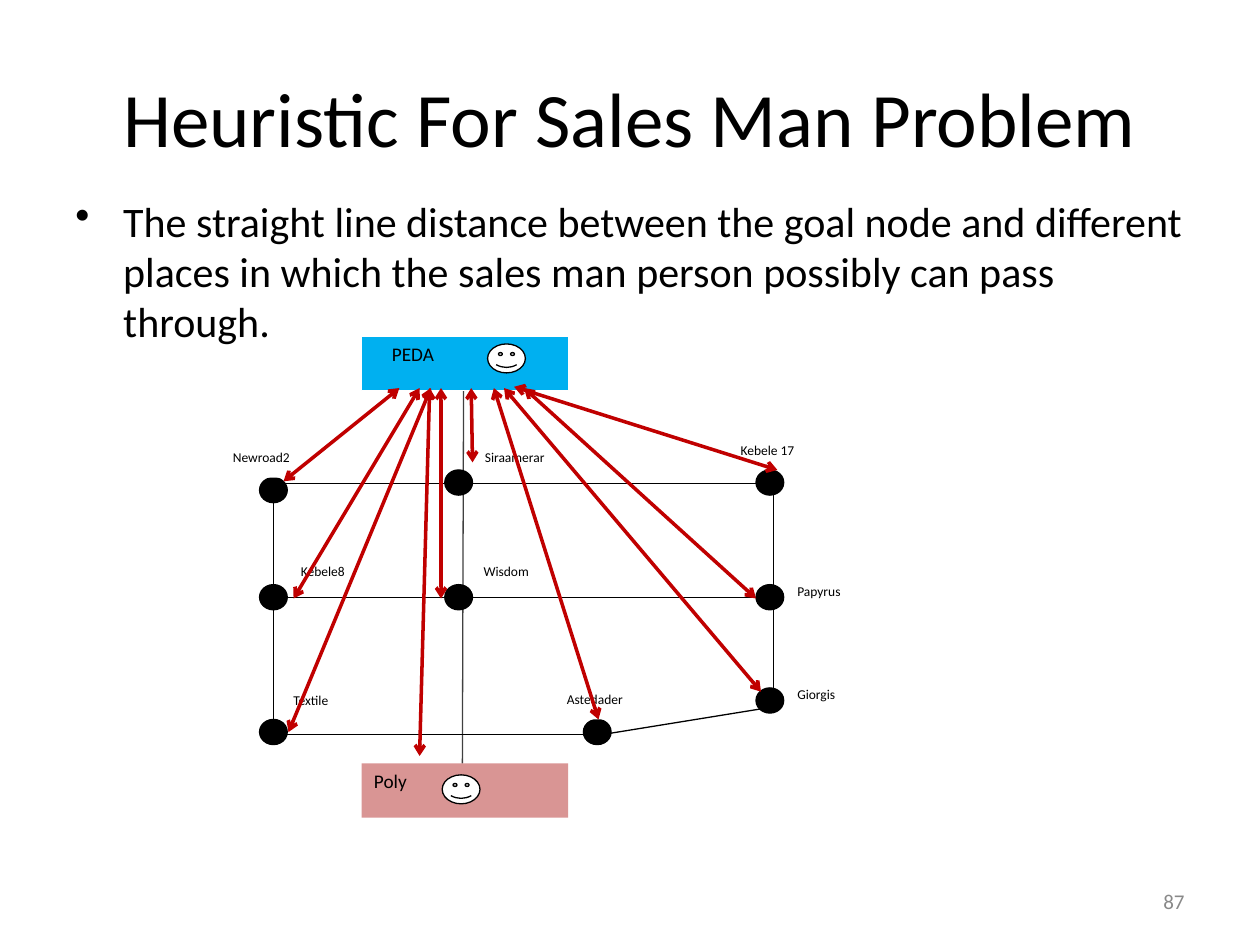
from dataclasses import dataclass

from lxml import etree
from pptx import Presentation, util as u
from pptx.dml.color import RGBColor
from pptx.enum import shapes, text
from pptx.oxml import ns

COLOURS = {
    "ink": "000000",
    "paper": "FFFFFF",
    "goal": "00B0F0",
    "start": "D99594",
    "street": "404040",
    "distance": "C00000",
    "number": "898989",
}
FONT = "Calibri"
COLUMNS, ROWS = 100, 75
WEST, EAST = 21.7, 61.4
NORTH, CENTRE, SOUTH = 38.4, 47.4, 58.3
NODE = (2.2, 2.0)
FACE = (3.0, 2.3)
HOUSE = (16.4, 4.3)
LABEL_HEIGHT = 2.5

deck = Presentation()
deck.slide_width, deck.slide_height = u.Inches(10), u.Inches(7.5)
page = deck.slides.add_slide(deck.slide_layouts[6])


@dataclass
class Area:
    column: float
    row: float
    width: float
    height: float


@dataclass
class Stop:
    name: str
    column: float
    row: float
    label_column: float
    label_row: float
    label_width: float = 7.7


@dataclass
class House:
    name: str
    area: Area
    colour: str
    inset: float
    face_column: float
    face_row: float
    border: str | None = None


@dataclass
class Link:
    column: float
    row: float
    end_column: float
    end_row: float


STOPS = [
    Stop("Newroad2", 21.7, 38.9, 17.5, 35.4, 8.8),
    Stop("Kebele8", 21.7, 47.4, 22.9, 44.4),
    Stop("Textile", 21.7, 58.1, 22.3, 54.7),
    Stop("Siraamerar", 36.4, 38.3, 37.5, 35.4, 9.3),
    Stop("Wisdom", 36.4, 47.4, 37.4, 44.4),
    Stop("Astedader", 47.4, 58.1, 44.0, 54.6, 8.8),
    Stop("Kebele 17", 61.1, 38.3, 57.8, 34.8),
    Stop("Papyrus", 61.1, 47.4, 62.3, 46.0),
    Stop("Giorgis", 61.1, 55.6, 62.3, 54.2),
]
HOUSES = [
    House("Poly", Area(28.7, 60.6, *HOUSE), "start", 0.1, 35.1, 61.5),
    House("PEDA", Area(28.7, 26.7, *HOUSE), "goal", 0.24, 38.7, 27.3, "paper"),
]
ROADS = [
    Link(EAST, NORTH, WEST, NORTH),
    Link(WEST, CENTRE, EAST, CENTRE),
    Link(WEST, SOUTH, 47.8, SOUTH),
    Link(47.8, SOUTH, EAST, 56.1),
    Link(WEST, NORTH, WEST, SOUTH),
    Link(EAST, 54.7, EAST, NORTH),
]
MAIN_STREET = Link(36.7, 60.6, 36.8, 28.6)
DISTANCES = [
    Link(22.5, 38.2, 31.7, 30.8),
    Link(23.3, 47.5, 33.3, 30.8),
    Link(35.0, 47.5, 35.0, 30.8),
    Link(33.3, 60.0, 34.1, 30.8),
    Link(37.5, 36.7, 37.4, 30.8),
    Link(40.8, 30.7, 61.7, 37.3),
    Link(22.9, 58.1, 34.2, 30.8),
    Link(47.5, 57.1, 39.2, 30.8),
    Link(60.0, 47.5, 41.6, 30.8),
    Link(60.4, 54.9, 40.0, 30.8),
]


def across(columns: float) -> int:
    return round(deck.slide_width * columns / COLUMNS)


def down(rows: float) -> int:
    return round(deck.slide_height * rows / ROWS)


def frame(area: Area) -> tuple[int, int, int, int]:
    return across(area.column), down(area.row), across(area.width), down(area.height)


def rgb(colour: str) -> RGBColor:
    return RGBColor.from_string(COLOURS[colour])


def write(box, words: str, size: float, colour: str = "ink", align=text.PP_ALIGN.LEFT,
          anchor=text.MSO_ANCHOR.TOP, inset: float = 0.1):
    box.text_frame.word_wrap = True
    box.text_frame.vertical_anchor = anchor
    box.text_frame.margin_left = u.Inches(inset)
    para = box.text_frame.paragraphs[0]
    para.text = words
    para.alignment = align
    para.font.name, para.font.size = FONT, u.Pt(size)
    para.font.color.rgb = rgb(colour)
    return para


def add_words(area: Area, words: str, size: float, **style):
    return write(page.shapes.add_textbox(*frame(area)), words, size, **style)


def add_figure(kind, area: Area, fill: str, border: str | None = None):
    figure = page.shapes.add_shape(kind, *frame(area))
    figure.shadow.inherit = False
    figure.fill.solid()
    figure.fill.fore_color.rgb = rgb(fill)
    if border:
        figure.line.color.rgb = rgb(border)
        figure.line.width = u.Pt(0.75)
    else:
        figure.line.fill.background()
    return figure


def add_link(link: Link, colour: str = "ink", width: float = 0.75, **tips: str) -> None:
    line = page.shapes.add_connector(
        shapes.MSO_CONNECTOR.STRAIGHT,
        across(link.column), down(link.row), across(link.end_column), down(link.end_row))
    line.line.color.rgb = rgb(colour)
    line.line.width = u.Pt(width)
    outline = line.line._get_or_add_ln()
    for end, tip in tips.items():
        etree.SubElement(outline, ns.qn(f"a:{end}End"), type=tip)
    etree.SubElement(line._element.spPr, ns.qn("a:effectLst"))


def add_house(house: House) -> None:
    box = add_figure(shapes.MSO_SHAPE.RECTANGLE, house.area, house.colour, house.border)
    write(box, house.name, 11, inset=house.inset).space_after = u.Pt(10)
    face = add_figure(shapes.MSO_SHAPE.SMILEY_FACE,
                      Area(house.face_column, house.face_row, *FACE), "paper", "ink")
    face.adjustments[0] = 0.09


def add_stop(stop: Stop) -> None:
    width, height = NODE
    add_figure(shapes.MSO_SHAPE.OVAL,
               Area(stop.column - width / 2, stop.row - height / 2, width, height), "ink", "ink")
    label = add_figure(shapes.MSO_SHAPE.RECTANGLE,
                       Area(stop.label_column, stop.label_row, stop.label_width, LABEL_HEIGHT),
                       "paper")
    para = write(label, stop.name, 7.7)
    para.line_spacing, para.space_after = 0.8, u.Pt(10)


def add_bullet(para) -> None:
    props = para._p.get_or_add_pPr()
    props.set("marL", str(u.Inches(0.38)))
    props.set("indent", str(-u.Inches(0.38)))
    bullet = etree.Element(ns.qn("a:buChar"), char="•")
    props.insert(0, bullet)


add_words(Area(5, 3, 90, 12.5), "Heuristic For Sales Man Problem", 44,
          align=text.PP_ALIGN.CENTER, anchor=text.MSO_ANCHOR.MIDDLE)
add_bullet(add_words(
    Area(5, 15, 90, 52),
    "The straight line distance between the goal node and different places "
    "in which the sales man person possibly can pass through.", 24))
add_link(MAIN_STREET, "street", tail="triangle")
for road in ROADS:
    add_link(road)
for house in HOUSES:
    add_house(house)
for stop in STOPS:
    add_stop(stop)
for distance in DISTANCES:
    add_link(distance, "distance", 2, head="arrow", tail="arrow")
add_words(Area(71.7, 69.5, 23.3, 4), "87", 12, colour="number",
          align=text.PP_ALIGN.RIGHT, anchor=text.MSO_ANCHOR.MIDDLE)

deck.save("out.pptx")
